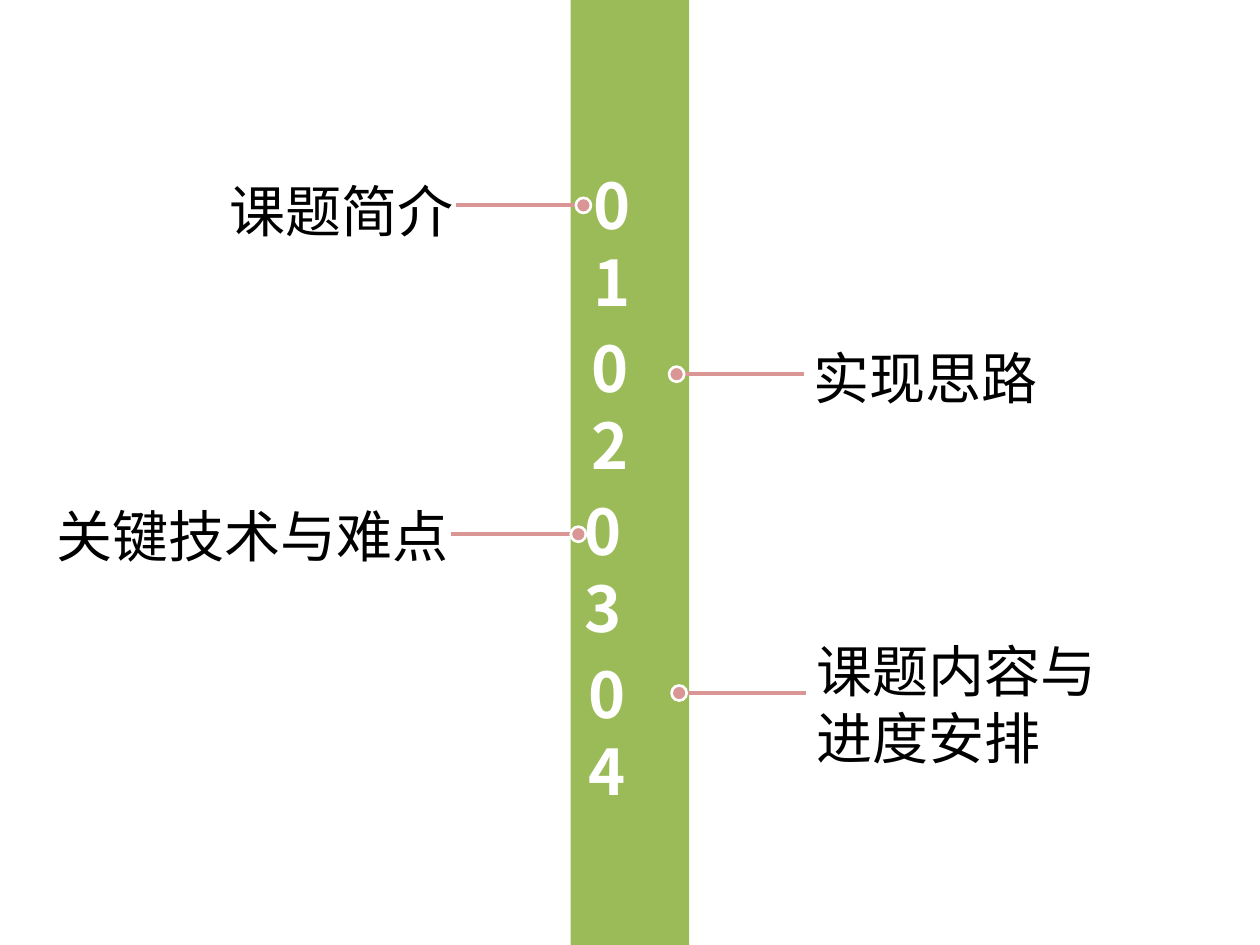
from dataclasses import dataclass

from lxml import etree
from pptx import Presentation
from pptx.dml.color import RGBColor
from pptx.enum import shapes, text
from pptx.oxml import ns
from pptx.util import Inches, Pt


@dataclass(frozen=True)
class Theme:
    """Colours, fonts and type sizes of the deck."""
    band: RGBColor = RGBColor(0x9B, 0xBB, 0x59)
    accent: RGBColor = RGBColor(0xD9, 0x96, 0x94)
    light: RGBColor = RGBColor(0xFF, 0xFF, 0xFF)
    dark: RGBColor = RGBColor(0, 0, 0)
    number_font: str = "Noto Sans CJK JP"
    label_font: str = "Arial"
    asian_font: str = "Noto Sans CJK JP"
    number_size: int = 36
    label_size: int = 32


THEME = Theme()
DOT = 0.12
STEM = 0.95
NUMBER_TOP, NUMBER_PITCH = 1.23, 1.295


@dataclass(frozen=True)
class Entry:
    """A contents entry: wording, label box, number left and dot position."""
    label: str
    box: tuple
    number_left: float
    dot: tuple
    side: int


ENTRIES = [
    Entry("课题简介", (1.72, 1.32, 2.23, 0.64), 4.61, (4.57, 1.57), -1),
    Entry("实现思路", (6.36, 2.65, 2.22, 0.64), 4.6, (5.31, 2.91), 1),
    Entry("关键技术与难点", (0.35, 3.9, 3.55, 0.64), 4.54, (4.53, 4.18), -1),
    Entry("课题内容与进度安排", (6.38, 4.97, 2.63, 1.17), 4.57, (5.33, 5.44), 1),
]


def add_text(page, box, wording, *, font, size, color, leading, bold=False):
    """Add a wrapped text box in one format."""
    frame = page.shapes.add_textbox(*map(Inches, box)).text_frame
    frame.word_wrap = True
    frame.auto_size = text.MSO_AUTO_SIZE.NONE
    frame.margin_left = frame.margin_right = Inches(0.1)
    frame.margin_top, frame.margin_bottom = Inches(0.08), Inches(0.05)
    para = frame.paragraphs[0]
    para.line_spacing = Pt(leading)
    span = para.add_run()
    span.text = wording
    span.font.name = font
    span.font.size = Pt(size)
    span.font.bold = bold
    span.font.color.rgb = color
    asian = etree.SubElement(span.font._element, ns.qn("a:ea"))
    asian.set("typeface", THEME.asian_font)


def add_filled(page, kind, box, fill, line=None):
    """Add a flat preset shape with an optional outline."""
    shape = page.shapes.add_shape(kind, *map(Inches, box))
    shape.shadow.inherit = False
    shape.fill.solid()
    shape.fill.fore_color.rgb = fill
    if line is None:
        shape.line.fill.background()
    else:
        shape.line.color.rgb = line
        shape.line.width = Pt(1.5)


def add_pointer(page, left, top, side):
    """Add a dot on the band with a stem leading out to its label."""
    start = left + DOT if side > 0 else left
    middle = top + DOT / 2
    ends = (start + side * STEM, middle, start, middle)
    stem = page.shapes.add_connector(
        shapes.MSO_CONNECTOR.STRAIGHT, *map(Inches, ends))
    stem.line.color.rgb = THEME.accent
    stem.line.width = Pt(2.25)
    etree.SubElement(stem._element.spPr, ns.qn("a:effectLst"))
    add_filled(page, shapes.MSO_SHAPE.OVAL, (left, top, DOT, DOT),
               THEME.accent, THEME.light)


def add_entry(page, index, entry):
    """Add the number, pointer and label of one contents entry."""
    top = NUMBER_TOP + index * NUMBER_PITCH
    add_text(page, (entry.number_left, top, 0.77, 1.3), f"{index + 1:02d}",
             font=THEME.number_font, size=THEME.number_size,
             color=THEME.light, leading=44, bold=True)
    add_pointer(page, *entry.dot, entry.side)
    add_text(page, entry.box, entry.label, font=THEME.label_font,
             size=THEME.label_size, color=THEME.dark, leading=38.4)


def build_contents(deck):
    """Build the contents page around its vertical band."""
    page = deck.slides.add_slide(deck.slide_layouts[6])
    add_filled(page, shapes.MSO_SHAPE.RECTANGLE, (4.53, 0, 0.94, 7.5), THEME.band)
    for index, entry in enumerate(ENTRIES):
        add_entry(page, index, entry)


def main():
    """Create and save the deck."""
    deck = Presentation()
    deck.slide_width, deck.slide_height = Inches(10), Inches(7.5)
    build_contents(deck)
    deck.save("out.pptx")


if __name__ == "__main__":
    main()
